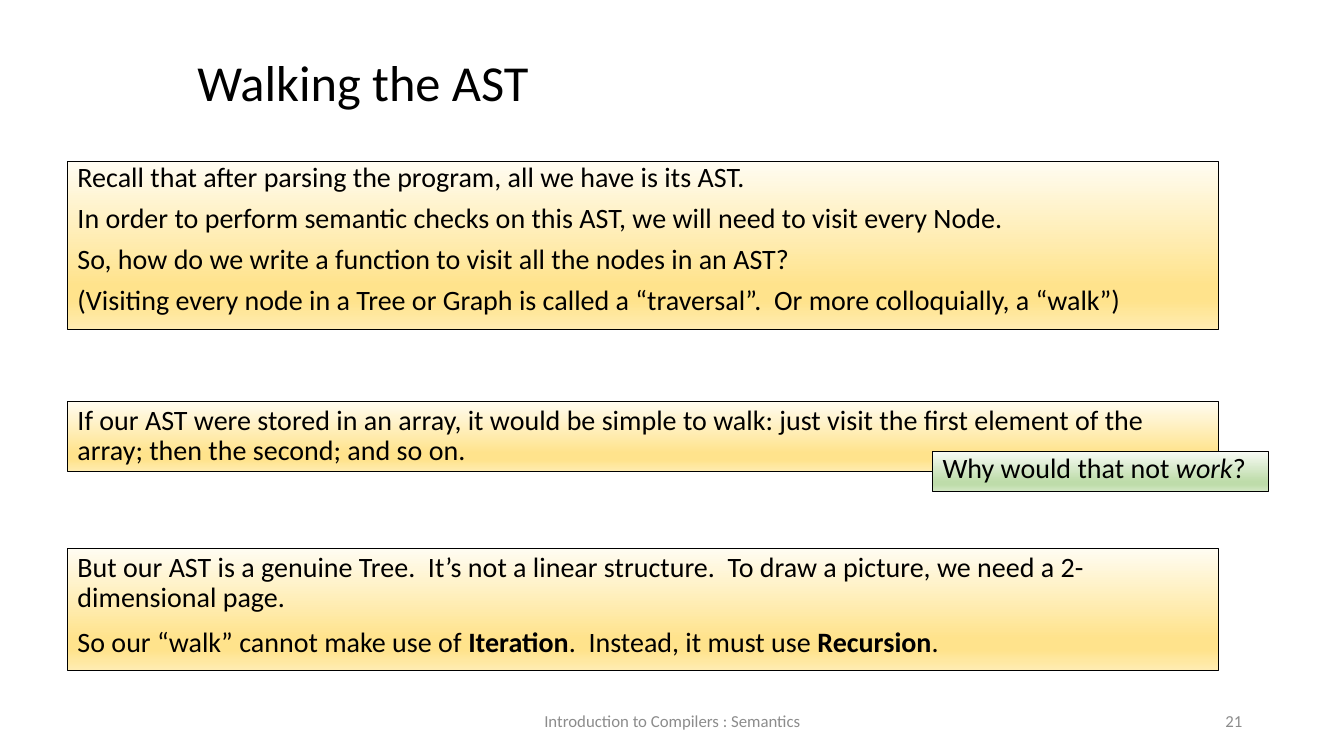
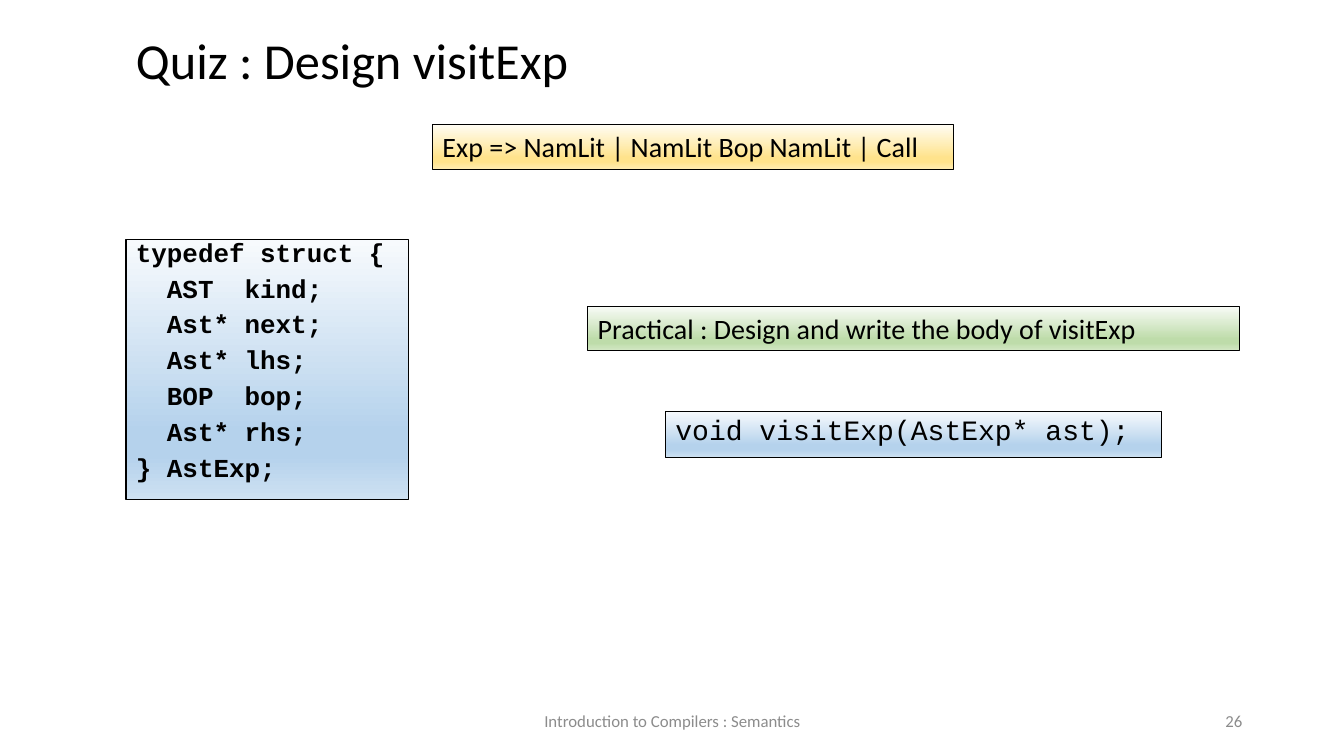
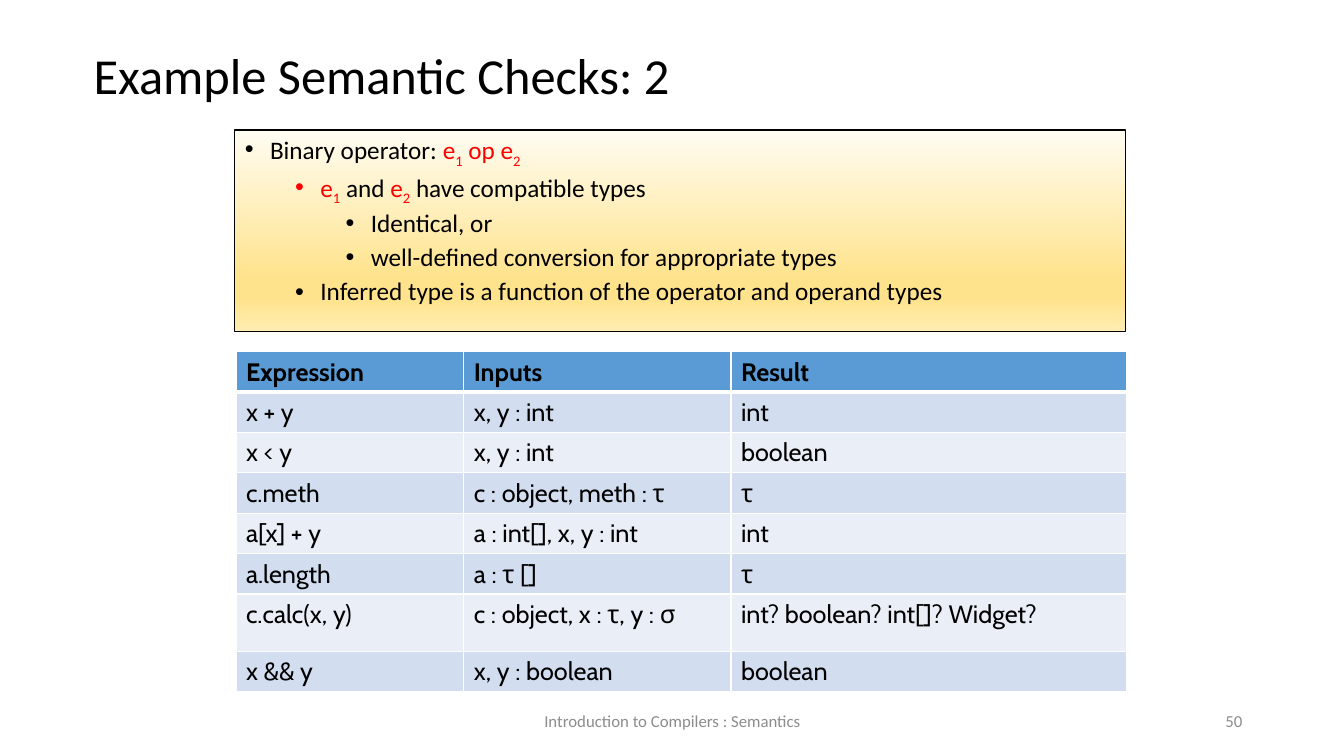
from lxml import etree
from pptx import Presentation
from pptx.dml.color import RGBColor
from pptx.enum.shapes import MSO_SHAPE
from pptx.enum.text import MSO_ANCHOR, PP_ALIGN
from pptx.oxml.ns import qn
from pptx.util import Inches, Pt

RECT = MSO_SHAPE.RECTANGLE
MIDDLE = MSO_ANCHOR.MIDDLE
LEFT, CENTER, RIGHT = PP_ALIGN.LEFT, PP_ALIGN.CENTER, PP_ALIGN.RIGHT

BLACK = RGBColor(0x00, 0x00, 0x00)
WHITE = RGBColor(0xFF, 0xFF, 0xFF)
GRAY = RGBColor(0x8C, 0x8C, 0x8C)
RED = RGBColor(0xFF, 0x00, 0x00)
HEAD = RGBColor(0x5B, 0x9B, 0xD5)
BANDS = (RGBColor(0xD2, 0xDE, 0xEF), RGBColor(0xEA, 0xEF, 0xF7))

# Each tint: top, middle and bottom colour of a gradient
GOLD = (RGBColor(0xFF, 0xFC, 0xF2), RGBColor(0xFF, 0xE3, 0x8C), RGBColor(0xFF, 0xEC, 0xB2))
GREEN = (RGBColor(0xF8, 0xFB, 0xF6), RGBColor(0xBE, 0xDC, 0xAA), RGBColor(0xD4, 0xE8, 0xC6))
BLUE = (RGBColor(0xF7, 0xFA, 0xFD), RGBColor(0xB5, 0xD2, 0xEC), RGBColor(0xCE, 0xE1, 0xF2))

BODY, CODE, GRID = "Calibri", "Courier New", "Cabin"
FOOTER = "Introduction to Compilers : Semantics"


def add_color(parent, color):
    etree.SubElement(parent, qn("a:srgbClr"), val=str(color))


def set_font(font, name, size, color, bold=False):
    font.name, font.size, font.bold = name, Pt(size), bold
    font.color.rgb = color


def add_runs(para, runs):
    """Add plain strings or (text, marks); marks: b bold, i italic, r red, s subscript."""
    for run in [runs] if isinstance(runs, str) else runs:
        text, marks = (run, "") if isinstance(run, str) else run
        item = para.add_run()
        item.text = text
        if "b" in marks:
            item.font.bold = True
        if "i" in marks:
            item.font.italic = True
        if "r" in marks:
            item.font.color.rgb = RED
        if "s" in marks:
            item._r.get_or_add_rPr().set("baseline", "-25000")


def add_bullet(para, level, color):
    para.level = level
    props = para._p.get_or_add_pPr()
    props.set("marL", str(Inches(0.25 + 0.5 * level)))
    props.set("indent", str(Inches(-0.25)))
    add_color(etree.SubElement(props, qn("a:buClr")), color)
    etree.SubElement(props, qn("a:buFont"), typeface="Arial")
    etree.SubElement(props, qn("a:buChar"), char="•")


def set_edges(cell, widths):
    """Draw white cell borders; widths are points by side."""
    props = cell._tc.get_or_add_tcPr()
    for side, width in widths.items():
        line = etree.SubElement(props, qn("a:ln" + side), w=str(Pt(width)))
        add_color(etree.SubElement(line, qn("a:solidFill")), WHITE)


class Deck:
    def __init__(self):
        self.show = Presentation()
        self.show.slide_width = Inches(13.33)
        self.show.slide_height = Inches(7.5)
        self.slide = None

    def start(self, title, place, number):
        """Begin a slide with its title, footer and number."""
        self.slide = self.show.slides.add_slide(self.show.slide_layouts[6])
        self.label(title, place, 36, BLACK, LEFT, 0.9)
        self.label(FOOTER, (4.42, 6.95, 4.5, 0.4), 12, GRAY, CENTER)
        self.label(str(number), (9.42, 6.95, 3, 0.4), 12, GRAY, RIGHT)

    def label(self, text, place, size, color, align, spacing=1.0):
        frame = self.slide.shapes.add_textbox(*map(Inches, place)).text_frame
        frame.word_wrap = True
        frame.vertical_anchor = MIDDLE
        para = frame.paragraphs[0]
        para.alignment = align
        para.line_spacing = spacing
        add_runs(para, text)
        set_font(para.font, BODY, size, color)

    def box(self, place, tint, paras, spacing=0.9, size=20, font=BODY, bold=False, levels=None):
        """Draw a gradient panel; levels, if given, make its paragraphs bullets."""
        shape = self.slide.shapes.add_shape(RECT, *map(Inches, place))
        shape.shadow.inherit = False
        shape.line.color.rgb = BLACK
        shape.line.width = Pt(0.75)
        self.shade(shape, tint)
        frame = shape.text_frame
        frame.word_wrap = True
        frame.vertical_anchor = MSO_ANCHOR.TOP
        for i, runs in enumerate(paras):
            para = frame.paragraphs[0] if i == 0 else frame.add_paragraph()
            level = levels[i] if levels else 0
            if levels:
                first = runs[0]
                red = not isinstance(first, str) and "r" in first[1]
                add_bullet(para, level, RED if red else BLACK)
            para.alignment = LEFT
            para.line_spacing = spacing
            if i:
                para.space_before = Pt(5 if level else 10)
            add_runs(para, runs)
            set_font(para.font, font, size, BLACK, bold)

    def shade(self, shape, tint):
        shape.fill.gradient()
        shape.fill.gradient_angle = 270
        stops = shape._element.spPr.find(".//" + qn("a:gsLst"))
        stops.clear()
        top, mid, low = tint
        for pos, color in ((0, top), (74, mid), (83, mid), (100, low)):
            add_color(etree.SubElement(stops, qn("a:gs"), pos=str(pos * 1000)), color)

    def table(self, place, widths, heights, rows):
        frame = self.slide.shapes.add_table(len(rows), len(widths), *map(Inches, place))
        grid = frame.table
        grid.horz_banding = False
        for col, width in zip(grid.columns, widths):
            col.width = Inches(width)
        for r, (row, height) in enumerate(zip(rows, heights)):
            grid.rows[r].height = Inches(height)
            for c, text in enumerate(row):
                cell = grid.cell(r, c)
                set_edges(cell, {"L": 1, "R": 1, "T": 3 if r == 1 else 1, "B": 3 if r == 0 else 1})
                cell.fill.solid()
                cell.fill.fore_color.rgb = BANDS[(r - 1) % 2] if r else HEAD
                para = cell.text_frame.paragraphs[0]
                add_runs(para, text)
                set_font(para.font, GRID, 18, BLACK, r == 0)


def main():
    deck = Deck()

    deck.start("Walking the AST", (1.86, 0.5, 8.62, 0.69), 21)
    deck.box((0.67, 1.6, 11.42, 1.67), GOLD, [
        "Recall that after parsing the program, all we have is its AST.",
        "In order to perform semantic checks on this AST, we will need to visit every Node.",
        "So, how do we write a function to visit all the nodes in an AST?",
        "(Visiting every node in a Tree or Graph is called a “traversal”.  "
        "Or more colloquially, a “walk”)",
    ], spacing=0.8)
    deck.box((0.67, 3.98, 11.42, 0.7), GOLD, [
        "If our AST were stored in an array, it would be simple to walk: "
        "just visit the first element of the array; then the second; and so on.",
    ])
    deck.box((9.25, 4.48, 3.33, 0.4), GREEN,
             [["Why would that not ", ("work", "i"), "?"]], spacing=0.8)
    deck.box((0.67, 5.44, 11.42, 1.21), GOLD, [
        "But our AST is a genuine Tree.  It’s not a linear structure.  "
        "To draw a picture, we need a 2-dimensional page.",
        ["So our “walk” cannot make use of ", ("Iteration", "b"),
         ".  Instead, it must use ", ("Recursion", "b"), "."],
    ])

    deck.start("Quiz : Design visitExp", (1.25, 0.28, 8.62, 0.69), 26)
    deck.box((1.25, 2.38, 2.8, 2.58), BLUE, [
        "typedef struct {",
        "  AST  kind;",
        "  Ast* next;",
        "  Ast* lhs;",
        "  BOP  bop;",
        "  Ast* rhs;",
        "} AstExp;",
    ], spacing=0.7, size=18.5, font=CODE, bold=True)
    deck.box((6.6, 4.08, 4.92, 0.46), BLUE, ["void visitExp(AstExp* ast);"], font=CODE)
    deck.box((4.29, 1.24, 5.17, 0.44), GOLD,
             ["Exp => NamLit | NamLit Bop NamLit | Call"], spacing=1.0)
    deck.box((5.83, 3.04, 6.46, 0.44), GREEN,
             ["Practical : Design and write the body of visitExp"], spacing=1.0)

    deck.start("Example Semantic Checks: 2", (0.83, 0.39, 11.5, 0.77), 50)
    deck.box((2.33, 1.29, 8.83, 2), GOLD, [
        ["Binary operator: ", ("e", "r"), ("1", "rs"), (" op e", "r"), ("2", "rs")],
        [("e", "r"), ("1", "rs"), " and ", ("e", "r"), ("2", "rs"), " have compatible types"],
        "Identical, or",
        "well-defined conversion for appropriate types",
        "Inferred type is a function of the operator and operand types",
    ], size=18, levels=(0, 1, 2, 2, 1))
    deck.table((2.34, 3.49, 8.83, 3.37), (2.26, 2.65, 3.92), [0.4] * 6 + [0.57, 0.4], [
        ("Expression", "Inputs", "Result"),
        ("x + y", "x, y : int", "int"),
        ("x < y", "x, y : int", "boolean"),
        ("c.meth", "c : object, meth : τ", "τ"),
        ("a[x] + y", "a : int[], x, y : int", "int"),
        ("a.length", "a : τ []", "τ"),
        ("c.calc(x, y)", "c : object, x : τ, y : σ", "int? boolean? int[]? Widget?"),
        ("x && y", "x, y : boolean", "boolean"),
    ])

    deck.show.save("out.pptx")


if __name__ == "__main__":
    main()
